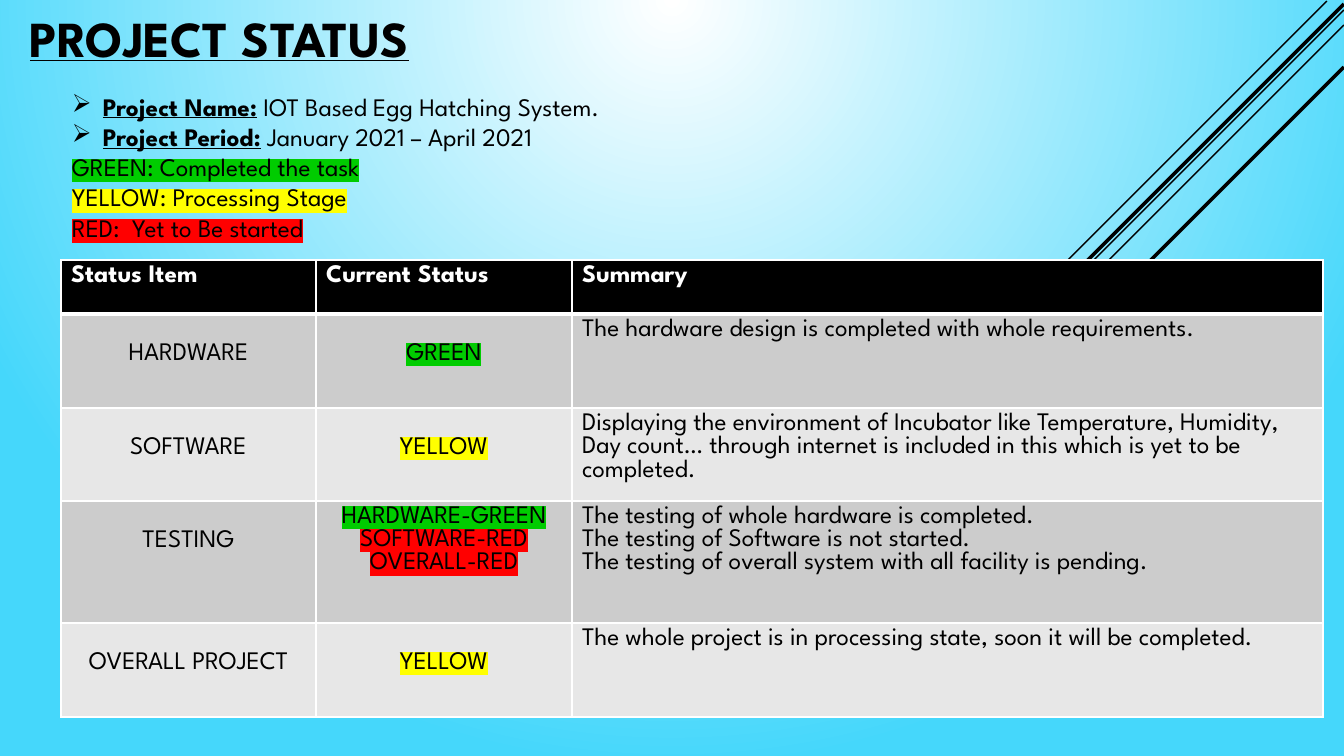
from lxml import etree
from pptx import Presentation, util as u
from pptx.dml.color import RGBColor
from pptx.enum import shapes, text
from pptx.oxml.ns import qn

FONT = "League Spartan"
COLORS = {
    "black": "000000", "white": "FFFFFF", "sky": "45D7FB",
    "dark band": "CCCCCC", "light band": "E7E7E7",
    "green": "00CC00", "yellow": "FFFF00", "red": "FF0000",
}
SLIDE_SIZE = (1344, 756)
TITLE = "PROJECT STATUS"
TITLE_BOX = (20, 2, 1344, 72)
DETAILS_BOX = (62, 86, 1219, 163)
DETAILS = [
    ("Project Name:", " IOT Based Egg Hatching System."),
    ("Project Period:", " January 2021 – April 2021"),
]
LEGEND = [
    ("GREEN: Completed the task", "green"),
    ("YELLOW: Processing Stage", "yellow"),
    ("RED:  Yet to Be started", "red"),
]
STRIPES = [
    ((1327, 1), (907, 421), 1),
    ((1344, 10), (673, 681), 1),
    ((1344, 25), (797, 572), 1),
    ((1344, 4), (808, 540), 2.5),
    ((1344, 67), (865, 546), 2.5),
]
TABLE_ORIGIN = (61, 260)
COLUMN_WIDTHS = [255, 256, 751]
ROW_HEIGHTS = [54, 94, 93, 122, 94]
HEADINGS = ["Status Item", "Current Status", "Summary"]
STATUS_ROWS = [
    ("HARDWARE", [("GREEN", "green")],
     ["The hardware design is completed with whole requirements."]),
    ("SOFTWARE", [("YELLOW", "yellow")],
     ["Displaying the environment of Incubator like Temperature, Humidity, "
      "Day count… through internet is included in this which is yet to be completed."]),
    ("TESTING",
     [("HARDWARE-GREEN", "green"), ("SOFTWARE-RED", "red"), ("OVERALL-RED", "red")],
     ["The testing of whole hardware is completed.",
      "The testing of Software is not started.",
      "The testing of overall system with all facility is pending."]),
    ("OVERALL PROJECT", [("YELLOW", "yellow")],
     ["The whole project is in processing state, soon it will be completed."]),
]
CELL_TOP = 5
LOWERED_TOP = 29
BULLET_INDENT = 31


def px(length):
    return u.Emu(round(length * 914400 / 100.8))


def rgb(name):
    return RGBColor.from_string(COLORS[name])


def add_xml_color(parent, name):
    etree.SubElement(parent, qn("a:srgbClr"), val=COLORS[name])


def style_paragraph(para, size=18, color="black", bold=False):
    para.font.name = FONT
    para.font.size = u.Pt(size)
    para.font.bold = bold
    para.font.color.rgb = rgb(color)


def add_span(para, words, highlight=None):
    span = para.add_run()
    span.text = words
    if highlight:
        marker = etree.SubElement(span.font._element, qn("a:highlight"))
        add_xml_color(marker, highlight)
    return span


def next_paragraph(frame, index):
    return frame.paragraphs[0] if index == 0 else frame.add_paragraph()


def add_text_box(page, place):
    frame = page.shapes.add_textbox(*map(px, place)).text_frame
    frame.word_wrap = True
    frame.auto_size = text.MSO_AUTO_SIZE.SHAPE_TO_FIT_TEXT
    return frame


def paint_background(page):
    fill = page.background.fill
    fill.gradient()
    for stop, name in zip(fill.gradient_stops, ("white", "sky")):
        stop.color.rgb = rgb(name)
    gradient = page.element.find(".//" + qn("a:gradFill"))
    gradient.remove(gradient.find(qn("a:lin")))
    circle = etree.SubElement(gradient, qn("a:path"), {"path": "circle"})
    etree.SubElement(circle, qn("a:fillToRect"), b="100000")


def add_stripes(page):
    for start, end, width in STRIPES:
        stripe = page.shapes.add_connector(
            shapes.MSO_CONNECTOR.STRAIGHT, *map(px, start + end))
        stripe.line.color.rgb = rgb("black")
        stripe.line.width = u.Pt(width)
        etree.SubElement(stripe._element.spPr, qn("a:effectLst"))


def add_title(page):
    para = add_text_box(page, TITLE_BOX).paragraphs[0]
    style_paragraph(para, size=36, bold=True)
    add_span(para, TITLE).font.underline = True


def add_details(page):
    frame = add_text_box(page, DETAILS_BOX)
    for index, (label, value) in enumerate(DETAILS):
        para = next_paragraph(frame, index)
        style_paragraph(para)
        props = para._p.get_or_add_pPr()
        props.set("marL", str(px(BULLET_INDENT)))
        props.set("indent", str(-px(BULLET_INDENT)))
        bullet = etree.Element(qn("a:buChar"), char="➢")
        props.find(qn("a:defRPr")).addprevious(bullet)
        heading = add_span(para, label)
        heading.font.bold = True
        heading.font.underline = True
        add_span(para, value)
    for words, highlight in LEGEND:
        para = frame.add_paragraph()
        style_paragraph(para)
        add_span(para, words, highlight)


def add_borders(cell, bottom):
    props = cell._tc.get_or_add_tcPr()
    for side, width in (("L", 1), ("R", 1), ("T", 1), ("B", bottom)):
        border = etree.SubElement(props, qn("a:ln" + side), w=str(u.Pt(width)))
        add_xml_color(etree.SubElement(border, qn("a:solidFill")), "white")


def fill_cell(cell, lines, band, color="black", bold=False,
              centered=False, top=CELL_TOP, bottom=1):
    add_borders(cell, bottom)
    cell.fill.solid()
    cell.fill.fore_color.rgb = rgb(band)
    cell.margin_top = px(top)
    for index, (words, highlight) in enumerate(lines):
        para = next_paragraph(cell.text_frame, index)
        style_paragraph(para, color=color, bold=bold)
        if centered:
            para.alignment = text.PP_ALIGN.CENTER
        add_span(para, words, highlight)


def add_status_table(page):
    size = (sum(COLUMN_WIDTHS), sum(ROW_HEIGHTS))
    table = page.shapes.add_table(
        len(ROW_HEIGHTS), len(COLUMN_WIDTHS), *map(px, TABLE_ORIGIN + size)).table
    for column, width in zip(table.columns, COLUMN_WIDTHS):
        column.width = px(width)
    for row, height in zip(table.rows, ROW_HEIGHTS):
        row.height = px(height)
    for column, heading in enumerate(HEADINGS):
        fill_cell(table.cell(0, column), [(heading, None)], "black",
                  color="white", bold=True, bottom=3)
    for row, (item, statuses, summary) in enumerate(STATUS_ROWS, 1):
        band = "dark band" if row % 2 else "light band"
        status_top = LOWERED_TOP if len(statuses) == 1 else CELL_TOP
        fill_cell(table.cell(row, 0), [(item, None)], band,
                  centered=True, top=LOWERED_TOP)
        fill_cell(table.cell(row, 1), statuses, band, centered=True, top=status_top)
        fill_cell(table.cell(row, 2), [(line, None) for line in summary], band)


def main():
    deck = Presentation()
    deck.slide_width, deck.slide_height = map(px, SLIDE_SIZE)
    page = deck.slides.add_slide(deck.slide_layouts[6])
    paint_background(page)
    add_stripes(page)
    add_status_table(page)
    add_details(page)
    add_title(page)
    deck.save("out.pptx")


if __name__ == "__main__":
    main()
